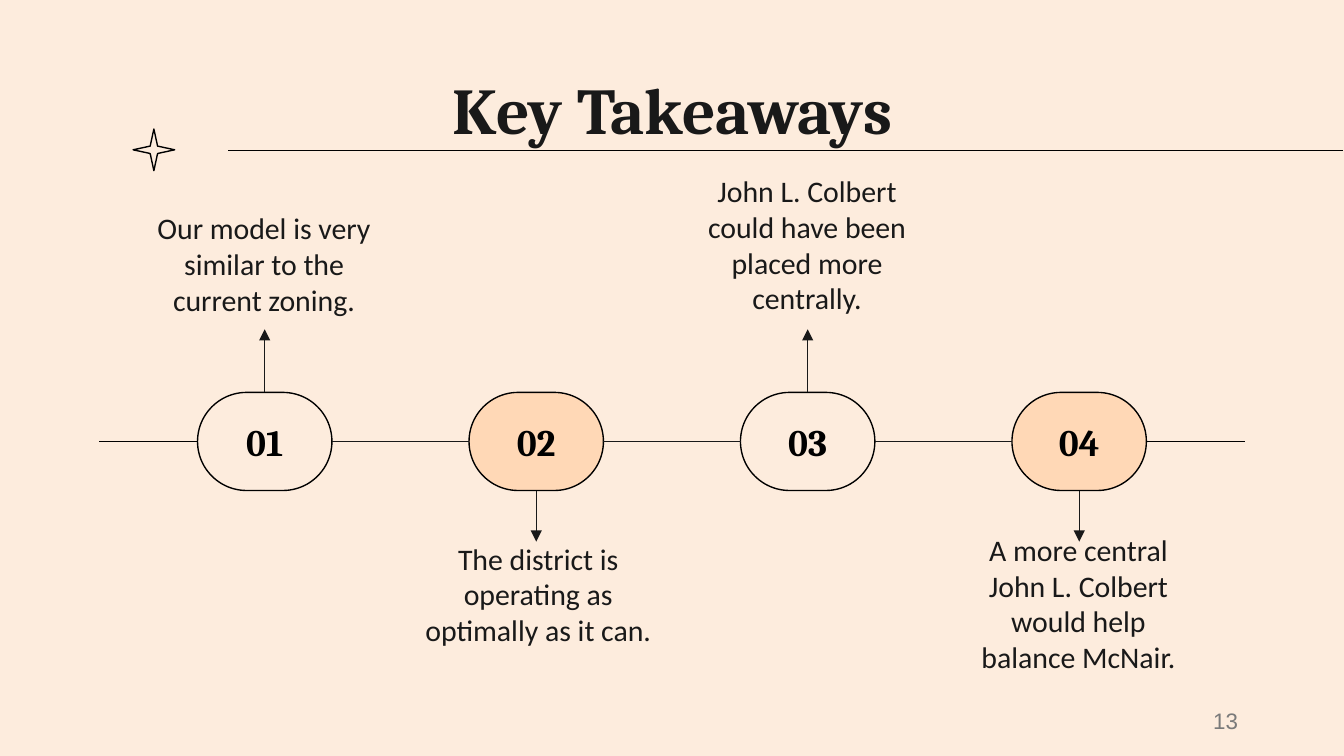
from lxml import etree
from pptx import Presentation
from pptx.dml.color import RGBColor
from pptx.enum.shapes import MSO_CONNECTOR, MSO_SHAPE
from pptx.enum.text import MSO_ANCHOR, PP_ALIGN
from pptx.oxml.ns import qn
from pptx.util import Inches, Pt

LINE = MSO_CONNECTOR.STRAIGHT
PILL, STAR = MSO_SHAPE.ROUNDED_RECTANGLE, MSO_SHAPE.STAR_4_POINT
MIDDLE, BOTTOM = MSO_ANCHOR.MIDDLE, MSO_ANCHOR.BOTTOM
CENTER, RIGHT = PP_ALIGN.CENTER, PP_ALIGN.RIGHT
CREAM = RGBColor(0xFD, 0xEC, 0xDD)
PEACH = RGBColor(0xFF, 0xD8, 0xB6)
BLACK = RGBColor(0, 0, 0)
INK = RGBColor(0x19, 0x19, 0x19)
GRAY = RGBColor(0x7A, 0x7A, 0x7A)

STEPS = [
    ("01", ["Our model is very similar to the current zoning."], (-0.51, -1.09, 2.01, 0.63)),
    ("02", ["The district is operating as optimally as it can."], (-0.49, 1.37, 2.01, 0.63)),
    ("03", ["John L. Colbert could have been placed more centrally."], (-0.51, -1.39, 2.01, 0.92)),
    ("04", ["A more central", "John L. Colbert would help", "balance McNair."],
     (-0.57, 1.15, 2.13, 1.05)),
]


def write(shape, lines, size, font, color=INK, bold=False, align=CENTER, anchor=MIDDLE, inset=0.1):
    frame = shape.text_frame
    frame.word_wrap = True
    frame.vertical_anchor = anchor
    frame.margin_left = frame.margin_right = Inches(0.1)
    frame.margin_top = frame.margin_bottom = Inches(inset)
    for i, line in enumerate(lines):
        para = frame.paragraphs[0] if i == 0 else frame.add_paragraph()
        para.alignment = align
        run = para.add_run()
        run.text = line
        run.font.size = Pt(size)
        run.font.name = font
        run.font.bold = bold
        run.font.color.rgb = color


def add_text(slide, box, lines, **style):
    write(slide.shapes.add_textbox(*map(Inches, box)), lines, **style)


def add_shape(slide, kind, box, adjust, fill=None):
    shape = slide.shapes.add_shape(kind, *map(Inches, box))
    shape.shadow.inherit = False
    shape.adjustments[0] = adjust
    if fill is None:
        shape.fill.background()
    else:
        shape.fill.solid()
        shape.fill.fore_color.rgb = fill
    shape.line.color.rgb = BLACK
    shape.line.width = Pt(0.75)
    return shape


def add_line(slide, x1, y1, x2, y2, color=BLACK, start=None, end=None, arrow=False):
    line = slide.shapes.add_connector(LINE, *map(Inches, (x1, y1, x2, y2)))
    line.line.color.rgb = color
    line.line.width = Pt(0.75)
    if start:
        line.begin_connect(*start)
    if end:
        line.end_connect(*end)
    props = line._element.spPr
    if arrow:
        etree.SubElement(props.find(qn("a:ln")), qn("a:tailEnd"), type="triangle")
    etree.SubElement(props, qn("a:effectLst"))


def add_header(slide, left, top, width, height):
    base = top + height
    add_line(slide, 9.99, base, left + 0.91, base)
    add_text(slide, (left, top, width, height), ["Key Takeaways"], size=35, font="Cambria", bold=True)
    add_shape(slide, STAR, (left + 0.2, base - 0.16, 0.31, 0.31), 0.125)


def add_track(slide, left, top, width, height):
    stub, wide = 0.73, 1
    pitch = (width - 2 * stub - wide) / (len(STEPS) - 1)
    mid, right = top + height / 2, left + width
    pills = []
    for i, (label, note, (dx, dy, span, tall)) in enumerate(STEPS):
        x = left + stub + i * pitch
        center = x + wide / 2
        lower = i % 2
        pill = add_shape(slide, PILL, (x, top, wide, height), 0.5, PEACH if lower else CREAM)
        write(pill, [label], size=20, font="Cambria", color=BLACK, bold=True)
        tip = top + height + 0.38 if lower else top - 0.47
        add_line(slide, center, mid, center, tip, INK, start=(pill, 2 if lower else 0), arrow=True)
        add_text(slide, (x + dx, top + dy, span, tall), note,
                 size=16, font="Calibri", anchor=BOTTOM)
        pills.append(pill)
    add_line(slide, left + stub, mid, left, mid, start=(pills[0], 1))
    for a, b in zip(pills, pills[1:]):
        add_line(slide, left, mid, right, mid, INK, start=(a, 3), end=(b, 1))
    add_line(slide, right, mid, right - stub, mid, end=(pills[-1], 3))


def main():
    deck = Presentation()
    deck.slide_width = Inches(10)
    deck.slide_height = deck.slide_width * 9 // 16
    slide = deck.slides.add_slide(deck.slide_layouts[6])
    slide.background.fill.solid()
    slide.background.fill.fore_color.rgb = CREAM
    add_header(slide, 0.79, 0.49, 8.43, 0.63)
    add_track(slide, 0.74, 2.92, 8.52, 0.73)
    add_text(slide, (7.06, 5.21, 2.25, 0.3), ["13"], size=12, font="Arial",
             color=GRAY, align=RIGHT, inset=0.05)
    deck.save("out.pptx")


if __name__ == "__main__":
    main()
